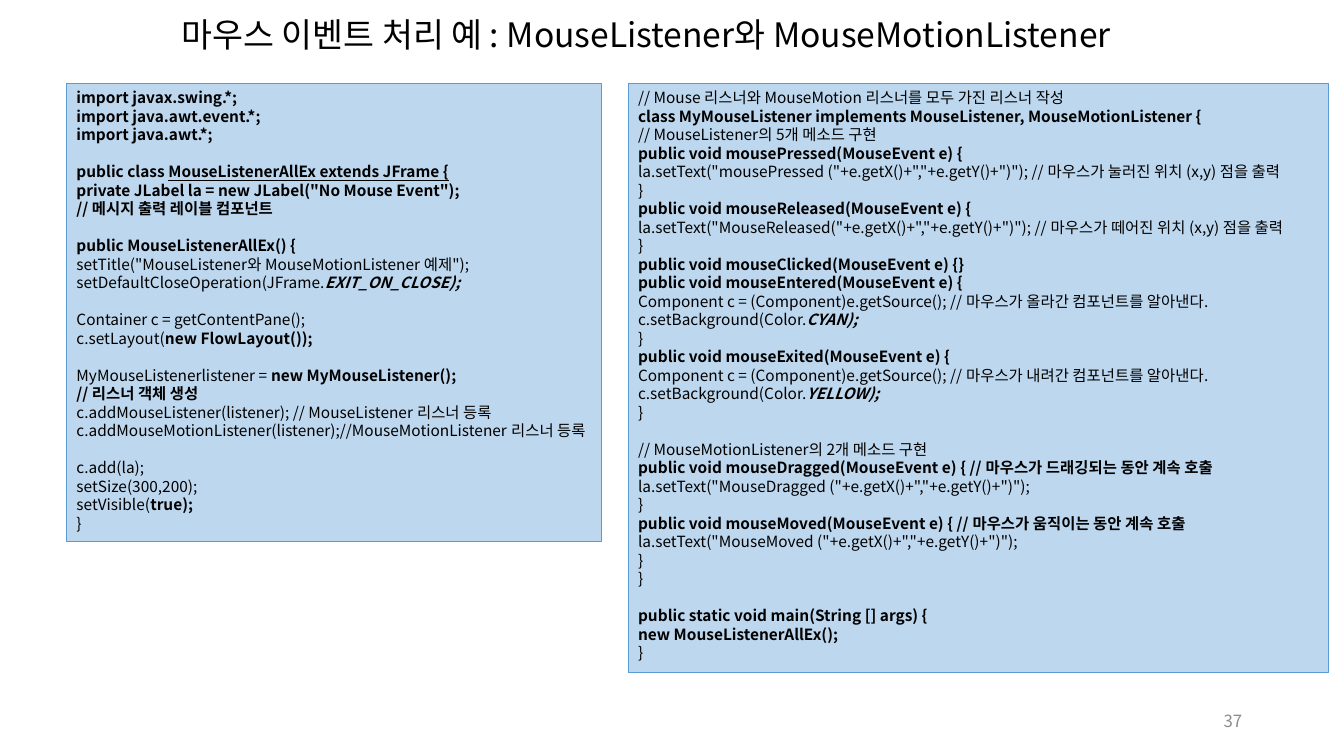
from dataclasses import dataclass

from pptx import Presentation
from pptx.dml.color import RGBColor
from pptx.enum.shapes import MSO_SHAPE
from pptx.enum.text import MSO_ANCHOR as Anchor, PP_ALIGN as Align
from pptx.oxml.ns import qn
from pptx.slide import Slide
from pptx.text.text import _Run as Run
from pptx.util import Inches, Pt
from lxml.etree import SubElement

FONT = "Noto Sans CJK KR"
BLACK = RGBColor(0x00, 0x00, 0x00)
GRAY = RGBColor(0x8C, 0x8C, 0x8C)
PALE_BLUE = RGBColor(0xBD, 0xD7, 0xEE)
BLUE = RGBColor(0x5B, 0x9B, 0xD5)
CODE_SIZE = 11
LINE_HEIGHT = Pt(13.2)


@dataclass
class Line:
    """A code line; styles combine b (bold), i (italic) and u (underline)."""
    head: str
    style: str = ""
    tail: str = ""
    tail_style: str = ""
    gap: bool = False  # one line of space above


@dataclass
class Listing:
    left: float
    top: float
    width: float
    height: float
    lines: list[Line]


FRAME_CODE = Listing(0.66, 0.83, 5.31, 4.54, [
    Line("import javax.swing.*;", "b"),
    Line("import java.awt.event.*;", "b"),
    Line("import java.awt.*;", "b"),
    Line("public class ", "b", "MouseListenerAllEx extends JFrame {", "bu", gap=True),
    Line('private JLabel la = new JLabel("No Mouse Event");', "b"),
    Line("// 메시지 출력 레이블 컴포넌트", "b"),
    Line("public MouseListenerAllEx() {", "b", gap=True),
    Line('setTitle("MouseListener와 MouseMotionListener 예제");'),
    Line("setDefaultCloseOperation(JFrame.", "", "EXIT_ON_CLOSE);", "bi"),
    Line("Container c = getContentPane();", gap=True),
    Line("c.setLayout(", "", "new FlowLayout());", "b"),
    Line("MyMouseListenerlistener = ", "", "new MyMouseListener();", "b", gap=True),
    Line("// 리스너 객체 생성", "b"),
    Line("c.addMouseListener(listener); // MouseListener 리스너 등록"),
    Line("c.addMouseMotionListener(listener);//MouseMotionListener 리스너 등록"),
    Line("c.add(la);", gap=True),
    Line("setSize(300,200);"),
    Line("setVisible(", "", "true);", "b"),
    Line("}"),
])

LISTENER_CODE = Listing(6.23, 0.83, 6.95, 5.84, [
    Line("// Mouse 리스너와 MouseMotion 리스너를 모두 가진 리스너 작성"),
    Line("class MyMouseListener implements MouseListener, MouseMotionListener {", "b"),
    Line("// MouseListener의 5개 메소드 구현"),
    Line("public void mousePressed(MouseEvent e) {", "b"),
    Line('la.setText("mousePressed ("+e.getX()+","+e.getY()+")"); // 마우스가 눌러진 위치 (x,y) 점을 출력'),
    Line("}"),
    Line("public void mouseReleased(MouseEvent e) {", "b"),
    Line('la.setText("MouseReleased("+e.getX()+","+e.getY()+")"); // 마우스가 떼어진 위치 (x,y) 점을 출력'),
    Line("}"),
    Line("public void mouseClicked(MouseEvent e) {}", "b"),
    Line("public void mouseEntered(MouseEvent e) {", "b"),
    Line("Component c = (Component)e.getSource(); // 마우스가 올라간 컴포넌트를 알아낸다."),
    Line("c.setBackground(Color.", "", "CYAN);", "bi"),
    Line("}"),
    Line("public void mouseExited(MouseEvent e) {", "b"),
    Line("Component c = (Component)e.getSource(); // 마우스가 내려간 컴포넌트를 알아낸다."),
    Line("c.setBackground(Color.", "", "YELLOW);", "bi"),
    Line("}"),
    Line("// MouseMotionListener의 2개 메소드 구현", gap=True),
    Line("public void mouseDragged(MouseEvent e) { // 마우스가 드래깅되는 동안 계속 호출", "b"),
    Line('la.setText("MouseDragged ("+e.getX()+","+e.getY()+")");'),
    Line("}"),
    Line("public void mouseMoved(MouseEvent e) { // 마우스가 움직이는 동안 계속 호출", "b"),
    Line('la.setText("MouseMoved ("+e.getX()+","+e.getY()+")");'),
    Line("}"),
    Line("}"),
    Line("public static void main(String [] args) {", "b", gap=True),
    Line("new MouseListenerAllEx();", "b"),
    Line("}"),
])


def format_run(run: Run, size: float, color: RGBColor, style: str = "") -> None:
    font = run.font
    font.name, font.size = FONT, Pt(size)
    font.color.rgb = color
    font.bold, font.italic, font.underline = (mark in style for mark in "biu")
    # Korean letters take the East Asian font
    SubElement(run._r.get_or_add_rPr(), qn("a:ea"), typeface=FONT)


def add_title(slide: Slide, text: str) -> None:
    title = slide.shapes.title
    title.left, title.top = Inches(1.7), Inches(-0.01)
    title.width, title.height = Inches(9.89), Inches(0.74)
    frame = title.text_frame
    frame.text = text
    frame.word_wrap = True
    frame.vertical_anchor = Anchor.MIDDLE
    heading = frame.paragraphs[0]
    heading.alignment = Align.LEFT
    heading.line_spacing = 0.9
    format_run(heading.runs[0], 24, BLACK)


def add_listing(slide: Slide, listing: Listing) -> None:
    panel = slide.shapes.add_shape(
        MSO_SHAPE.RECTANGLE, Inches(listing.left), Inches(listing.top),
        Inches(listing.width), Inches(listing.height))
    panel.shadow.inherit = False
    panel.fill.solid()
    panel.fill.fore_color.rgb = PALE_BLUE
    panel.line.color.rgb = BLUE
    panel.line.width = Pt(0.75)
    frame = panel.text_frame
    frame.word_wrap = True
    frame.vertical_anchor = Anchor.TOP
    for index, line in enumerate(listing.lines):
        paragraph = frame.add_paragraph() if index else frame.paragraphs[0]
        paragraph.alignment = Align.LEFT
        paragraph.line_spacing = LINE_HEIGHT
        if line.gap:
            paragraph.space_before = LINE_HEIGHT
        for text, style in ((line.head, line.style), (line.tail, line.tail_style)):
            if text:
                run = paragraph.add_run()
                run.text = text
                format_run(run, CODE_SIZE, BLACK, style)


def add_page_number(slide: Slide, number: int) -> None:
    box = slide.shapes.add_textbox(Inches(9.42), Inches(6.95), Inches(3), Inches(0.4))
    frame = box.text_frame
    frame.text = str(number)
    frame.word_wrap = True
    frame.vertical_anchor = Anchor.MIDDLE
    frame.paragraphs[0].alignment = Align.RIGHT
    format_run(frame.paragraphs[0].runs[0], 12, GRAY)


def main() -> None:
    deck = Presentation()
    deck.slide_width, deck.slide_height = Inches(13.33), Inches(7.5)
    slide = deck.slides.add_slide(deck.slide_layouts[5])
    add_title(slide, "마우스 이벤트 처리 예 : MouseListener와 MouseMotionListener")
    for listing in (LISTENER_CODE, FRAME_CODE):
        add_listing(slide, listing)
    add_page_number(slide, 37)
    deck.save("out.pptx")


if __name__ == "__main__":
    main()
